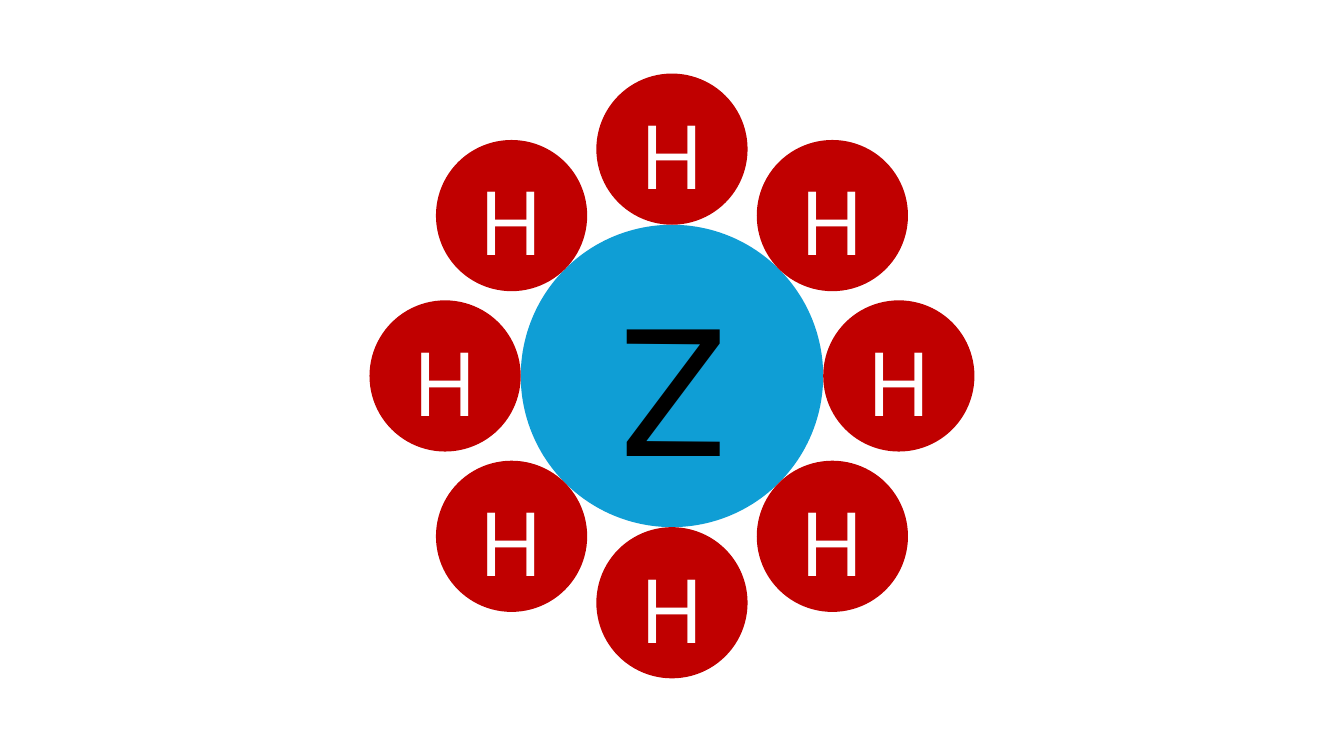
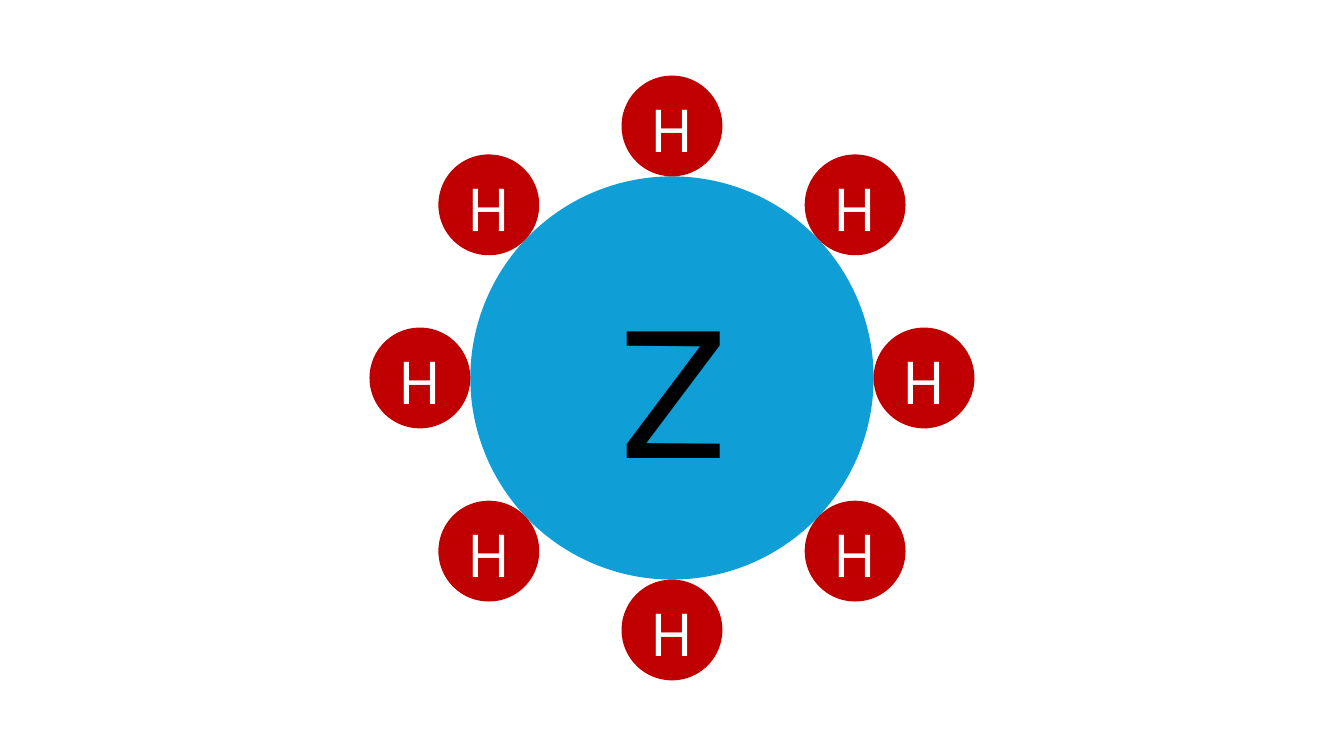
from math import cos, radians, sin

from pptx import Presentation
from pptx.dml.color import RGBColor
from pptx.enum.shapes import MSO_SHAPE
from pptx.enum.text import MSO_ANCHOR, PP_ALIGN
from pptx.util import Inches, Pt

SLIDE_WIDTH, SLIDE_HEIGHT = 13.33, 7.5
CENTER_X = SLIDE_WIDTH / 2
FONT = "Karla"
BLUE, RED, BLACK, WHITE = "0F9ED5", "C00000", "000000", "FFFFFF"


def color(value):
    return RGBColor.from_string(value)


def add_ball(slide, x, y, diameter, fill, letter, size, text_color):
    """Draw a lettered circle centred on x, y."""
    shape = slide.shapes.add_shape(
        MSO_SHAPE.OVAL,
        Inches(x - diameter / 2),
        Inches(y - diameter / 2),
        Inches(diameter),
        Inches(diameter),
    )
    shape.shadow.inherit = False
    shape.fill.solid()
    shape.fill.fore_color.rgb = color(fill)
    shape.line.fill.background()
    shape.text_frame.vertical_anchor = MSO_ANCHOR.MIDDLE
    paragraph = shape.text_frame.paragraphs[0]
    paragraph.alignment = PP_ALIGN.CENTER
    run = paragraph.add_run()
    run.text = letter
    run.font.name = FONT
    run.font.size = Pt(size)
    run.font.color.rgb = color(text_color)


def add_cluster(slide, center_y, core, outer, outer_size, diagonal=45):
    """Ring a core ball with eight touching balls; diagonal is in degrees."""
    add_ball(slide, CENTER_X, center_y, core, BLUE, "Z", 144, BLACK)
    radius = (core + outer) / 2
    for angle in (0, diagonal, 90, 180 - diagonal,
                  180, 180 + diagonal, 270, 360 - diagonal):
        x = CENTER_X + radius * cos(radians(angle))
        y = center_y + radius * sin(radians(angle))
        add_ball(slide, x, y, outer, RED, "H", outer_size, WHITE)


def add_slide(presentation):
    slide = presentation.slides.add_slide(presentation.slide_layouts[6])
    slide.background.fill.solid()
    slide.background.fill.fore_color.rgb = color(WHITE)
    return slide


def main():
    presentation = Presentation()
    presentation.slide_width = Inches(SLIDE_WIDTH)
    presentation.slide_height = Inches(SLIDE_HEIGHT)
    add_cluster(add_slide(presentation), 3.73, core=3, outer=1.5, outer_size=72)
    add_cluster(add_slide(presentation), 3.75, core=4, outer=1, outer_size=48,
                diagonal=43.4)
    presentation.save("out.pptx")


if __name__ == "__main__":
    main()
